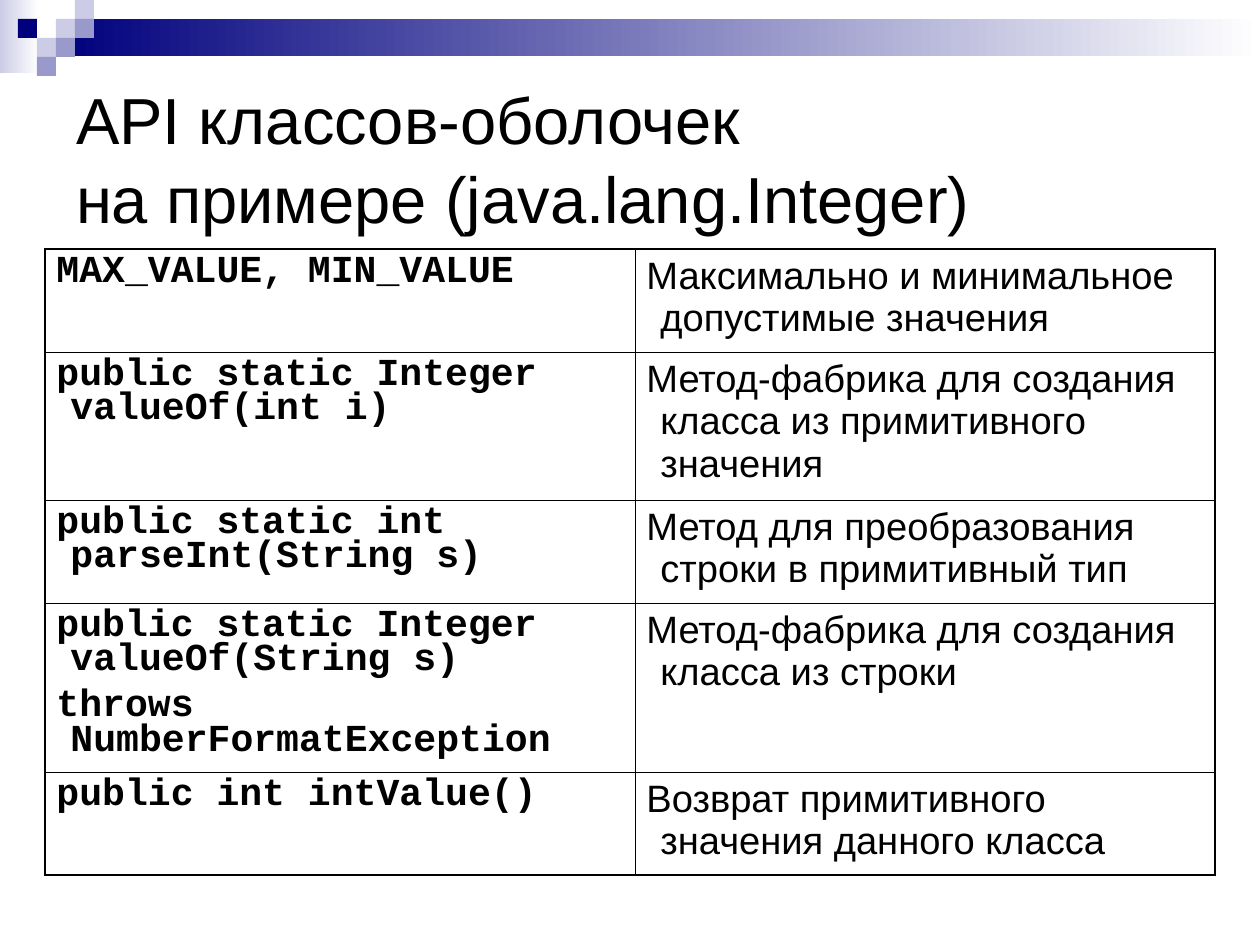
from lxml.etree import SubElement
from pptx import Presentation
from pptx.dml.color import RGBColor
from pptx.enum.shapes import MSO_SHAPE
from pptx.enum.text import MSO_ANCHOR, MSO_AUTO_SIZE, PP_ALIGN
from pptx.oxml.ns import qn
from pptx.util import Pt

EMU_PER_PX = 8000
COLORS = {
    "navy": "00007D",
    "violet": "9999CC",
    "lilac": "CCCCE6",
    "white": "FFFFFF",
    "black": "000000",
}
THIN, THICK = Pt(0.45), Pt(1.08)
HANGING = 14
CODE = dict(font="Courier New", size=24, bold=True, spacing=0.8, before=7, hanging=HANGING)
NOTE = dict(font="Arial", size=24, before=6, hanging=HANGING)
API_ROWS = [
    (103, ["MAX_VALUE, MIN_VALUE"],
     "Максимально и минимальное допустимые значения"),
    (148, ["public static Integer valueOf(int i)"],
     "Метод-фабрика для создания класса из примитивного значения"),
    (103, ["public static int parseInt(String s)"],
     "Метод для преобразования строки в примитивный тип"),
    (169, ["public static Integer valueOf(String s)", "throws NumberFormatException"],
     "Метод-фабрика для создания класса из строки"),
    (103, ["public int intValue()"],
     "Возврат примитивного значения данного класса"),
]
MOSAIC = [
    (3, 0, "lilac"), (1, 1, "navy"), (3, 1, "violet"), (2, 1, None),
    (2, 2, "lilac"), (3, 2, "violet"), (2, 3, "violet"),
]


def px(length):
    return round(length * EMU_PER_PX)


def rgb(name):
    return RGBColor.from_string(COLORS[name])


def write(frame, paragraphs, font="Arial", size=24, bold=False, color="black",
          spacing=1.0, before=0, hanging=0):
    for index, text in enumerate(paragraphs):
        paragraph = frame.paragraphs[0] if index == 0 else frame.add_paragraph()
        paragraph.text = text
        paragraph.alignment = PP_ALIGN.LEFT
        paragraph.line_spacing = spacing
        paragraph.space_before = Pt(before if index else 0)
        if hanging:
            properties = paragraph._p.get_or_add_pPr()
            properties.set("marL", str(px(hanging)))
            properties.set("indent", str(-px(hanging)))
        for line_break in paragraph._p.findall(qn("a:br")):
            SubElement(line_break, qn("a:rPr"), sz=str(size * 100))
        for run in paragraph.runs:
            run.font.name = font
            run.font.size = Pt(size)
            run.font.bold = bold
            run.font.color.rgb = rgb(color)


def add_block(slide, left, top, width, height, color, fade_to=None):
    block = slide.shapes.add_shape(
        MSO_SHAPE.RECTANGLE, px(left), px(top), px(width), px(height))
    block.shadow.inherit = False
    block.line.fill.background()
    if fade_to:
        block.fill.gradient()
        block.fill.gradient_angle = 0
        for stop, name in zip(block.fill.gradient_stops, (color, fade_to)):
            stop.color.rgb = rgb(name)
    else:
        block.fill.solid()
        block.fill.fore_color.rgb = rgb(color)


def add_header_band(slide, left, top, width, tile):
    add_block(slide, left, top, 39, 73, "lilac", "white")
    add_block(slide, left + 3 * tile, top + tile, width - 3 * tile, 2 * tile - 1,
              "navy", "white")
    for column, row, color in [(3, 1, "lilac"), (4, 0, "lilac"), (4, 1, "violet"),
                               (2, 2, "lilac"), (1, 1, "navy"), (3, 2, "violet"),
                               (2, 3, "violet")]:
        add_block(slide, left + column * tile - 1, top + row * tile, tile, tile, color)


def place_title(slide, left, top, width, height):
    title = slide.shapes.title
    title.left, title.top, title.width, title.height = map(px, (left, top, width, height))
    frame = title.text_frame
    frame.auto_size = MSO_AUTO_SIZE.NONE
    frame.word_wrap = True
    frame.vertical_anchor = MSO_ANCHOR.MIDDLE
    frame.margin_left = frame.margin_right = px(13)
    frame.margin_top = frame.margin_bottom = px(7)
    write(frame, ["API классов-оболочек\nна примере (java.lang.Integer)"], size=41)


def set_borders(cell, **widths):
    """Draw black cell edges; the keys are L, R, T and B."""
    properties = cell._tc.get_or_add_tcPr()
    for side in "LRTB":
        edge = SubElement(properties, qn(f"a:ln{side}"), w=str(widths[side]))
        paint = SubElement(edge, qn("a:solidFill"))
        SubElement(paint, qn("a:srgbClr"), val=COLORS["black"])


def add_api_table(slide, left, top, column_widths):
    height = sum(row_height for row_height, _, _ in API_ROWS)
    table = slide.shapes.add_table(
        len(API_ROWS), len(column_widths), px(left), px(top),
        px(sum(column_widths)), px(height)).table
    table.first_row = table.horz_banding = False
    for column, width in zip(table.columns, column_widths):
        column.width = px(width)
    last_row, last_column = len(API_ROWS) - 1, len(column_widths) - 1
    for r, (row_height, signature, meaning) in enumerate(API_ROWS):
        table.rows[r].height = px(row_height)
        for c, (lines, style) in enumerate([(signature, CODE), ([meaning], NOTE)]):
            cell = table.cell(r, c)
            write(cell.text_frame, lines, **style)
            set_borders(cell,
                        L=THICK if c == 0 else THIN,
                        R=THICK if c == last_column else THIN,
                        T=THICK if r == 0 else THIN,
                        B=THICK if r == last_row else THIN)
            cell.fill.background()


def main():
    deck = Presentation()
    deck.slide_width, deck.slide_height = px(1260), px(945)
    slide = deck.slides.add_slide(deck.slide_layouts[5])
    add_header_band(slide, 0, 0, 1260, 19)
    place_title(slide, 63, 110, 1134, 96)
    add_api_table(slide, 45, 249, (590, 580))
    deck.save("out.pptx")


if __name__ == "__main__":
    main()
